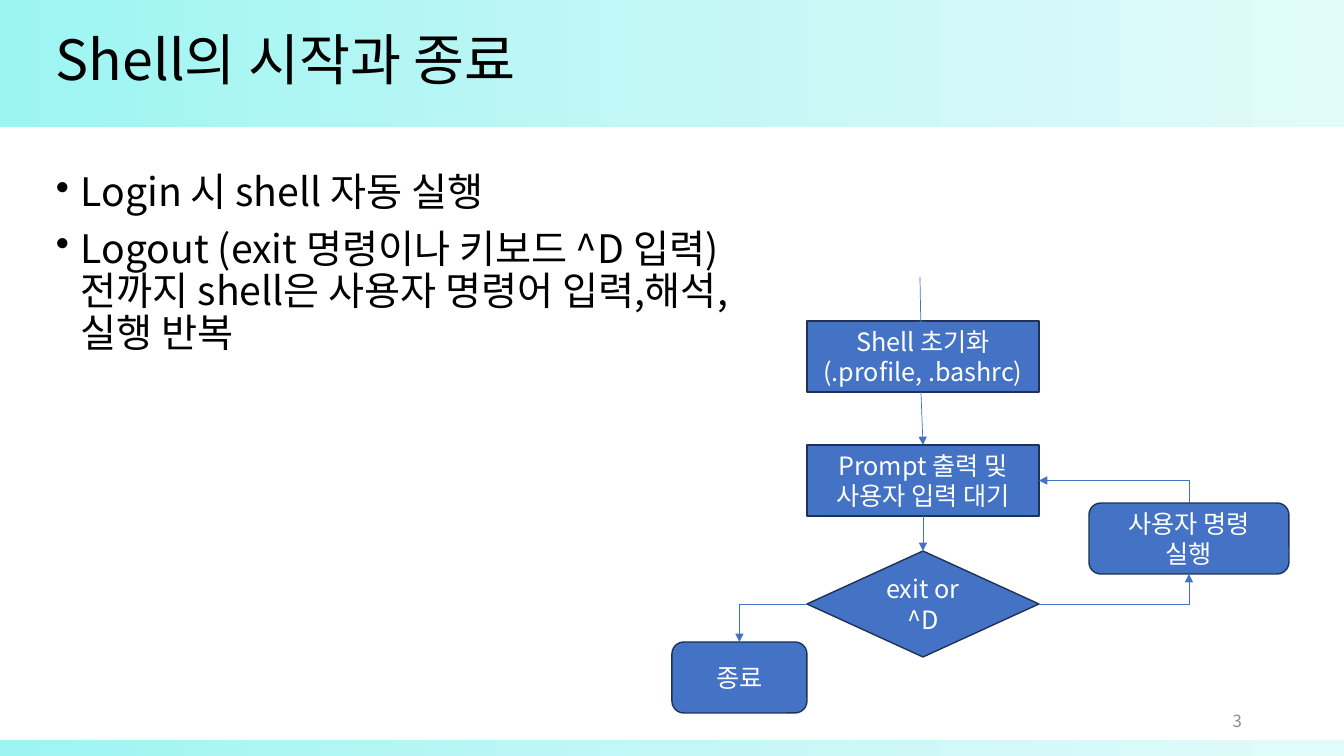
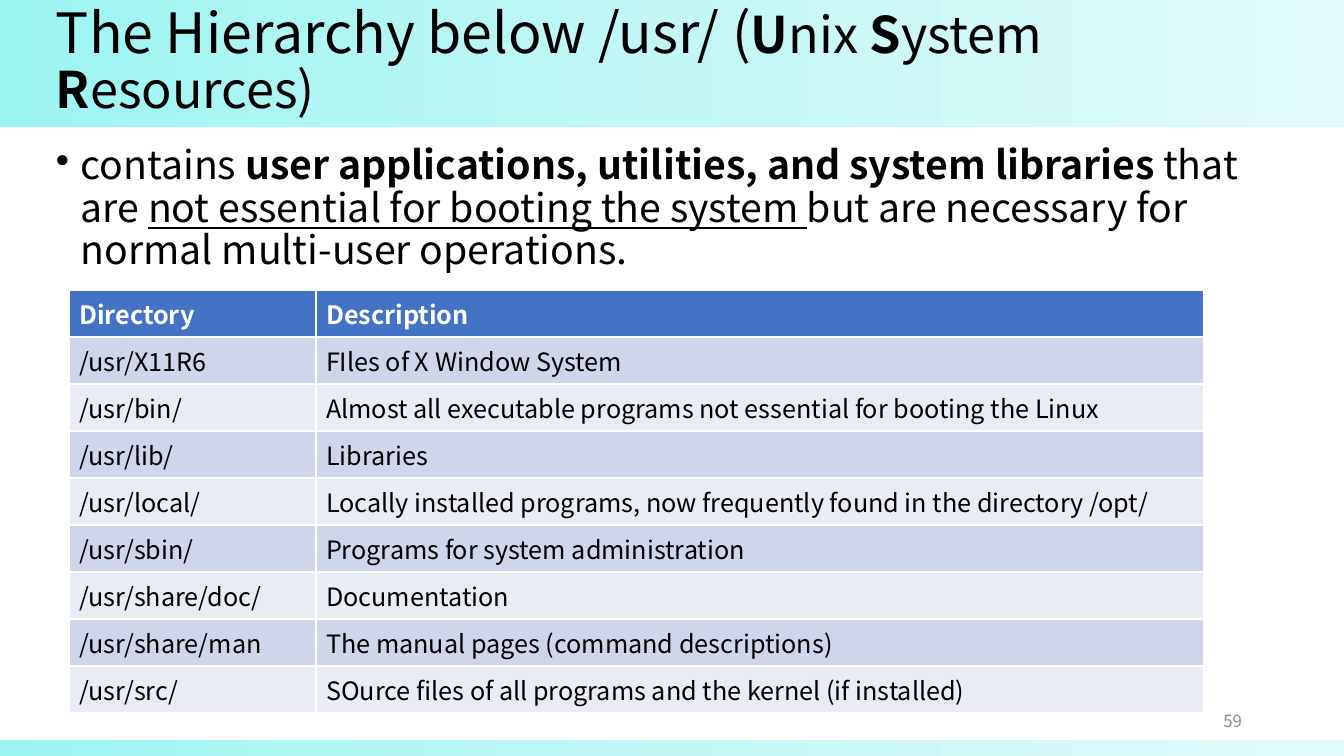
"""Build two lecture slides: the shell life cycle and the /usr hierarchy."""
from copy import deepcopy

from lxml.etree import SubElement as Sub
from pptx import Presentation
from pptx.dml.color import RGBColor
from pptx.enum.shapes import MSO_CONNECTOR as Link, MSO_SHAPE as Kind
from pptx.enum.text import MSO_ANCHOR as Anchor, PP_ALIGN as Align
from pptx.oxml.ns import qn
from pptx.util import Pt

FONT = "Noto Sans CJK KR"
INK, WHITE, GREY = "000000", "FFFFFF", "8C8C8C"
BLUE, EDGE = "4472C4", "1E3256"
STRIPES = ["E9EBF5", "CFD5EA"]
FADE = [(0, "9DF5F2"), (0.5, "C3F7F6"), (1, "E1FBFA")]
WIDE, HIGH = 1344, 756
BANDS = [(0, 740, WIDE, 16), (0, 0, WIDE, 127)]
TITLE = (46, 27, 1268, 71)
NUMBER = (950, 701, 302, 40)
BOLD, PLAIN, UNDER = {"bold": True}, {}, {"underline": True}

SHELL = {
    "title": [("Shell의 시작과 종료", PLAIN)],
    "number": "3",
    "area": (46, 168, 752, 512),
    "points": [
        "Login 시 shell 자동 실행",
        "Logout (exit 명령이나 키보드 ^D 입력) 전까지 shell은 사용자 명령어 입력,해석, 실행 반복",
    ],
}
STEPS = {
    "init": (Kind.RECTANGLE, (807, 321, 232, 71), ["Shell 초기화 (.profile, .bashrc)"]),
    "prompt": (Kind.RECTANGLE, (807, 445, 232, 71), ["Prompt 출력 및", "사용자 입력 대기"]),
    "test": (Kind.FLOWCHART_DECISION, (807, 551, 232, 106), ["exit or ^D"]),
    "run": (Kind.ROUNDED_RECTANGLE, (1089, 503, 200, 71), ["사용자 명령", "실행"]),
    "end": (Kind.ROUNDED_RECTANGLE, (672, 642, 135, 71), ["종료"]),
}
ARROWS = [(920, 277, 921, 330), (921, 392, 923, 445), (923, 516, 923, 551)]
TOP, LEFT, BOTTOM, RIGHT = range(4)
BENDS = [
    ("test", RIGHT, "run", BOTTOM, "tailEnd"),
    ("test", LEFT, "end", TOP, "tailEnd"),
    ("prompt", RIGHT, "run", TOP, "headEnd"),
]

USR = {
    "title": [
        ("The Hierarchy below /usr/ (", PLAIN),
        ("U", {"size": 36, "bold": True}), ("nix ", {"size": 36}),
        ("S", {"size": 36, "bold": True}), ("ystem ", {"size": 36}),
        ("R", {"size": 36, "bold": True}), ("esources)", {"size": 36}),
    ],
    "number": "59",
    "area": (46, 141, 1268, 149),
    "points": [[
        ("contains ", PLAIN),
        ("user applications, utilities, and system libraries", BOLD),
        (" that are ", PLAIN),
        ("not essential for booting the system ", UNDER),
        ("but are necessary for normal multi-user operations.", PLAIN),
    ]],
}
GRID = (69, 290)
COLS, ROW = (247, 888), 47
ROWS = [
    ("Directory", "Description"),
    ("/usr/X11R6", "FIles of X Window System"),
    ("/usr/bin/", "Almost all executable programs not essential for booting the Linux"),
    ("/usr/lib/", "Libraries"),
    ("/usr/local/", "Locally installed programs, now frequently found in the directory /opt/"),
    ("/usr/sbin/", "Programs for system administration"),
    ("/usr/share/doc/", "Documentation"),
    ("/usr/share/man", "The manual pages (command descriptions)"),
    ("/usr/src/", "SOurce files of all programs and the kernel (if installed)"),
]


def px(*vals):
    return [round(v * 914400 / 100.8) for v in vals]


def rgb(code):
    return RGBColor.from_string(code)


def write(frame, paras, size=18, color=INK, bold=False, align=Align.LEFT,
          anchor=Anchor.TOP, lead=None, gap=0, bullet=None):
    frame.word_wrap = True
    frame.vertical_anchor = anchor
    for i, spans in enumerate(paras):
        para = frame.add_paragraph() if i else frame.paragraphs[0]
        if bullet:
            props = para._p.get_or_add_pPr()
            props.set("marL", str(px(25)[0]))
            props.set("indent", str(px(-25)[0]))
            Sub(props, qn("a:buChar")).set("char", bullet)
        para.alignment = align
        if lead:
            para.line_spacing = lead
        if i and gap:
            para.space_before = Pt(gap)
        for words, look in [(spans, PLAIN)] if isinstance(spans, str) else spans:
            run = para.add_run()
            run.text = words
            font = run.font
            font.size = Pt(look.get("size", size))
            font.bold = look.get("bold", bold)
            font.underline = look.get("underline", False)
            font.color.rgb = rgb(color)
            font.name = FONT
            Sub(run._r.rPr, qn("a:ea")).set("typeface", FONT)


def label(slide, area, paras, **look):
    write(slide.shapes.add_textbox(*px(*area)).text_frame, paras, **look)


def band(slide, area):
    shape = slide.shapes.add_shape(Kind.RECTANGLE, *px(*area))
    shape.shadow.inherit = False
    shape.line.fill.background()
    shape.fill.gradient()
    shape.fill.gradient_angle = 0
    stops = shape._element.spPr.find(".//" + qn("a:gsLst"))
    stops.append(deepcopy(stops[0]))
    for stop, (place, code) in zip(shape.fill.gradient_stops, FADE):
        stop.position = place
        stop.color.rgb = rgb(code)


def start(deck, page):
    slide = deck.slides.add_slide(deck.slide_layouts[6])
    for area in BANDS:
        band(slide, area)
    label(slide, TITLE, [page["title"]], size=39.6, lead=0.9, anchor=Anchor.MIDDLE)
    label(slide, page["area"], page["points"], size=28, lead=0.9, gap=10, bullet="•")
    label(slide, NUMBER, [page["number"]], size=12, color=GREY,
          align=Align.RIGHT, anchor=Anchor.MIDDLE)
    return slide


def step(slide, kind, area, paras):
    shape = slide.shapes.add_shape(kind, *px(*area))
    shape.shadow.inherit = False
    shape.fill.solid()
    shape.fill.fore_color.rgb = rgb(BLUE)
    shape.line.color.rgb = rgb(EDGE)
    shape.line.width = Pt(1)
    write(shape.text_frame, paras, color=WHITE, align=Align.CENTER, anchor=Anchor.MIDDLE)
    return shape


def arrow(slide, ends, kind=Link.STRAIGHT, tip="tailEnd"):
    link = slide.shapes.add_connector(kind, *px(*ends))
    link.line.color.rgb = rgb(BLUE)
    link.line.width = Pt(0.5)
    Sub(link.line._get_or_add_ln(), qn("a:" + tip)).set("type", "triangle")
    Sub(link._element.spPr, qn("a:effectLst"))
    return link


def bend(slide, first, out, last, into, tip):
    link = arrow(slide, (0, 0, 1, 1), Link.ELBOW, tip)
    link._element.spPr.find(qn("a:prstGeom")).set("prst", "bentConnector2")
    link.begin_connect(first, out)
    link.end_connect(last, into)


def flow(slide):
    steps = {name: step(slide, *item) for name, item in STEPS.items()}
    for ends in ARROWS:
        arrow(slide, ends)
    for first, out, last, into, tip in BENDS:
        bend(slide, steps[first], out, steps[last], into, tip)


def table(slide):
    size = (sum(COLS), ROW * len(ROWS))
    grid = slide.shapes.add_table(len(ROWS), len(COLS), *px(*GRID, *size)).table
    for col, width in zip(grid.columns, px(*COLS)):
        col.width = width
    for r, texts in enumerate(ROWS):
        grid.rows[r].height = px(ROW)[0]
        for c, text in enumerate(texts):
            cell = grid.cell(r, c)
            cell.fill.solid()
            cell.fill.fore_color.rgb = rgb(STRIPES[r % 2] if r else BLUE)
            write(cell.text_frame, [text], color=INK if r else WHITE, bold=not r)


def main():
    deck = Presentation()
    deck.slide_width, deck.slide_height = px(WIDE, HIGH)
    flow(start(deck, SHELL))
    table(start(deck, USR))
    deck.save("out.pptx")


if __name__ == "__main__":
    main()
